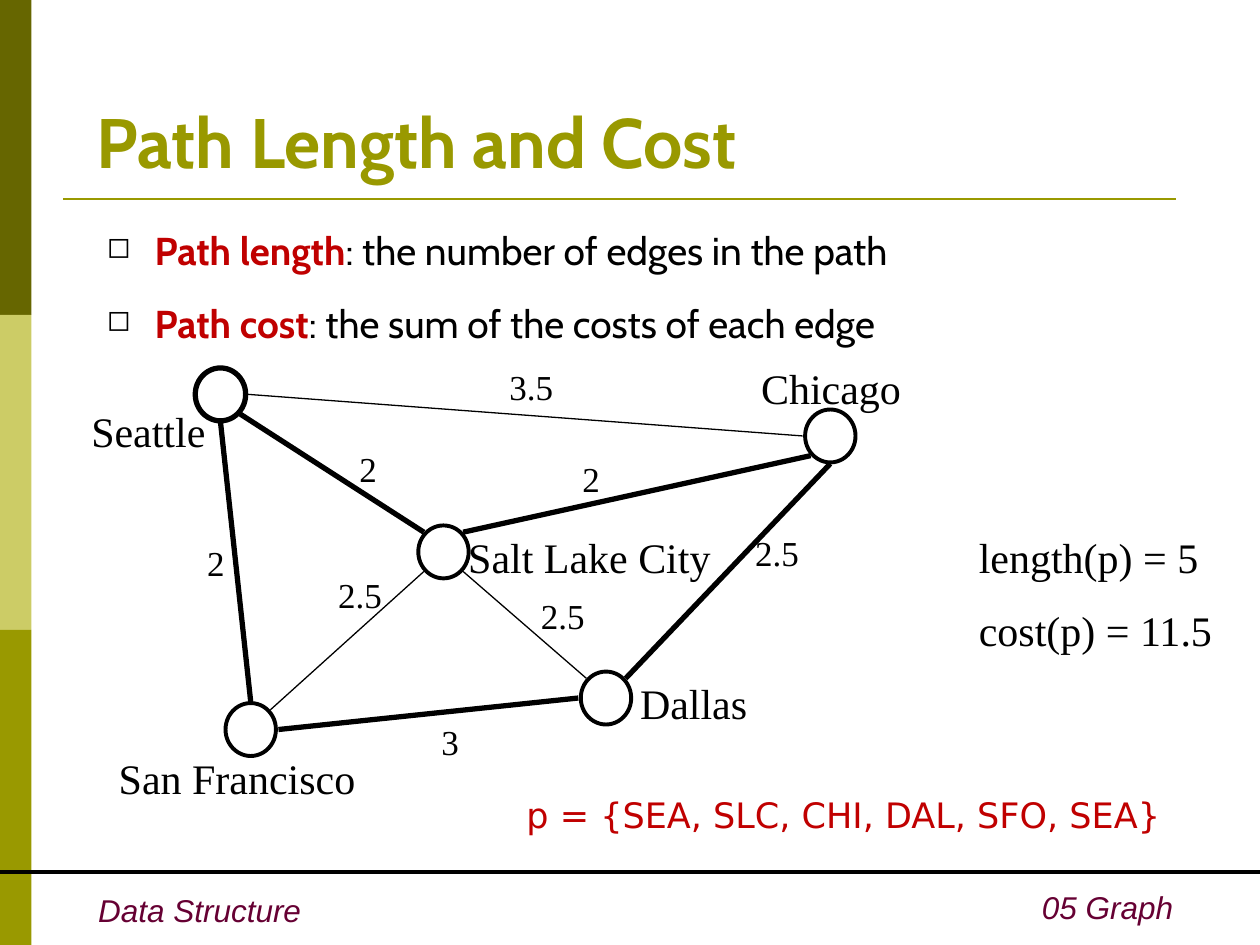
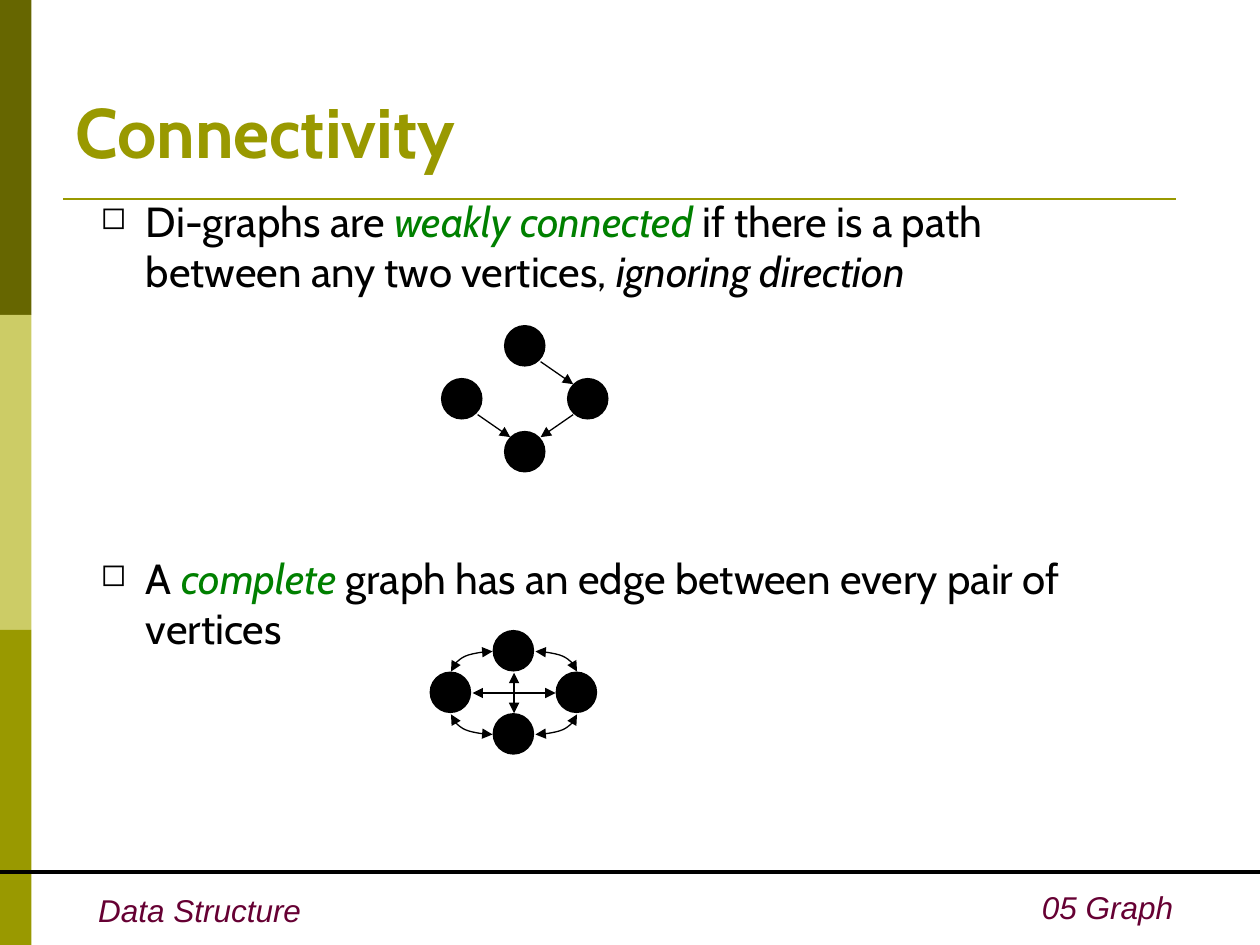
from dataclasses import dataclass, field
from itertools import product
from typing import Any, NamedTuple

from lxml.etree import SubElement
from pptx import Presentation
from pptx.dml.color import RGBColor
from pptx.enum.shapes import MSO_CONNECTOR as CXN, MSO_SHAPE as SHP
from pptx.enum.text import MSO_ANCHOR as ANC, MSO_AUTO_SIZE as FIT, PP_ALIGN as AL
from pptx.oxml.ns import qn
from pptx.util import Inches, Pt

OLIVE, DARK_OLIVE, LIGHT_OLIVE = "999900", "666600", "CCCC66"
BLACK, WHITE, RED, GREEN, PLUM = "000000", "FFFFFF", "C00000", "008000", "660033"
HEADING, SERIF, FOOTER, SYMBOLS = "Cabin", "Times New Roman", "Arial", "DejaVu Sans"
THIN, MEDIUM, THICK = 0.74, 2.24, 3
CORNER = 0.71
LABEL_SLACK = 0.05
SITES = {
    "top": (0, -1), "bottom": (0, 1), "left": (-1, 0), "right": (1, 0),
    "top left": (-CORNER, -CORNER), "top right": (CORNER, -CORNER),
    "bottom left": (-CORNER, CORNER), "bottom right": (CORNER, CORNER),
}


class Point(NamedTuple):
    """A position in inches."""
    x: float
    y: float

    def shift(self, dx: float, dy: float) -> "Point":
        """Return the point moved by the given distances."""
        return Point(self.x + dx, self.y + dy)

    def site(self, name: str, radius: float) -> "Point":
        """Return a named point on a circle around this one."""
        dx, dy = SITES[name]
        return self.shift(dx * radius, dy * radius)


class Run(NamedTuple):
    """A piece of text with font values of its own."""
    text: str
    style: dict[str, Any] = {}


@dataclass
class Para:
    """A paragraph with its spacing, hanging indent and bullet."""
    runs: list[Run]
    before: float = 0
    margin: float = 0
    hang: float = 0
    bullet: bool = False


@dataclass
class TextBox:
    """A text box with one base font for its paragraphs."""
    left: float
    top: float
    width: float
    height: float
    paras: list[Para]
    size: float
    font: str
    color: str = BLACK
    style: dict[str, Any] = field(default_factory=dict)
    align: AL = AL.LEFT
    anchor: ANC = ANC.TOP
    wrap: bool = True
    grow: bool = False


class City(NamedTuple):
    """A vertex of the route graph and its label box."""
    name: str
    center: Point
    label: Point
    width: float
    border: float = MEDIUM


class Edge(NamedTuple):
    """An edge between two cities, with its cost and label place."""
    start: str
    start_site: str
    end: str
    end_site: str
    weight: float
    cost: str
    label: Point


def rgb(color: str) -> RGBColor:
    """Turn a hex string into a colour."""
    return RGBColor.from_string(color)


def plain(text: str) -> list[Para]:
    """Wrap one string as a single paragraph."""
    return [Para([Run(text)])]


def add_shape(shapes, kind: SHP, left: float, top: float, width: float, height: float,
              fill: str, border: float = 0) -> None:
    """Draw a filled preset shape, with a black border if a width is given."""
    sp = shapes.add_shape(kind, Inches(left), Inches(top), Inches(width), Inches(height))
    sp.shadow.inherit = False
    sp.fill.solid()
    sp.fill.fore_color.rgb = rgb(fill)
    if border:
        sp.line.color.rgb = rgb(BLACK)
        sp.line.width = Pt(border)
    else:
        sp.line.fill.background()


def add_line(shapes, start: Point, end: Point, weight: float = THIN, color: str = BLACK,
             arrows: tuple[str, ...] = (), curved: bool = False) -> None:
    """Draw a connector with arrowheads at the named ends."""
    kind = CXN.CURVE if curved else CXN.STRAIGHT
    cx = shapes.add_connector(kind, *(Inches(v) for v in (*start, *end)))
    cx.line.color.rgb = rgb(color)
    cx.line.width = Pt(weight)
    props = cx._element.spPr
    if curved:
        props.find(qn("a:prstGeom")).set("prst", "curvedConnector2")
    for arrow in arrows:
        SubElement(cx.line._get_or_add_ln(), qn(f"a:{arrow}")).set("type", "triangle")
    SubElement(props, qn("a:effectLst"))


def add_bullet(p) -> None:
    """Give a paragraph a hollow square bullet."""
    props = p._p.get_or_add_pPr()
    SubElement(SubElement(props, qn("a:buClr")), qn("a:srgbClr")).set("val", BLACK)
    SubElement(props, qn("a:buSzPct")).set("val", "75000")
    SubElement(props, qn("a:buChar")).set("char", "\u25fb")


def add_text(shapes, box: TextBox) -> None:
    """Draw a text box."""
    sp = shapes.add_textbox(Inches(box.left), Inches(box.top),
                            Inches(box.width), Inches(box.height))
    tf = sp.text_frame
    tf.word_wrap = box.wrap
    tf.auto_size = FIT.SHAPE_TO_FIT_TEXT if box.grow else FIT.NONE
    tf.vertical_anchor = box.anchor
    for i, para in enumerate(box.paras):
        p = tf.add_paragraph() if i else tf.paragraphs[0]
        p.alignment = box.align
        p.space_before = Pt(para.before)
        props = p._p.get_or_add_pPr()
        props.set("marL", str(Inches(para.margin)))
        props.set("indent", str(-Inches(para.hang)))
        if para.bullet:
            add_bullet(p)
        for run in para.runs:
            r = p.add_run()
            r.text = run.text
            values = {"name": box.font, "size": Pt(box.size), "color": box.color,
                      **box.style, **run.style}
            r.font.color.rgb = rgb(values.pop("color"))
            for key, value in values.items():
                setattr(r.font, key, value)


def add_label(shapes, text: str, at: Point, width: float, size: float,
              align: AL = AL.RIGHT) -> None:
    """Draw a one-line serif label, with slack on its loose side so it cannot wrap."""
    left = at.x - LABEL_SLACK if align == AL.RIGHT else at.x
    add_text(shapes, TextBox(left, at.y, width + LABEL_SLACK, 0.5 if size > 20 else 0.44,
                             plain(text), size, SERIF, align=align, wrap=False))


def add_title(shapes, text: str, left: float, top: float, width: float, height: float) -> None:
    """Draw the slide title."""
    add_text(shapes, TextBox(left, top, width, height, plain(text), 40, HEADING, OLIVE,
                             {"bold": True}, anchor=ANC.BOTTOM))


def new_slide(prs):
    """Add a slide with the side bands, rules and footers, and return its shapes."""
    shapes = prs.slides.add_slide(prs.slide_layouts[6]).shapes
    for i, color in enumerate((DARK_OLIVE, LIGHT_OLIVE, OLIVE)):
        add_shape(shapes, SHP.RECTANGLE, 0, 2.5 * i, 0.25, 2.5, color)
    add_line(shapes, Point(0.5, 1.58), Point(9.33, 1.58), 1.5, OLIVE)
    italic = {"italic": True}
    add_text(shapes, TextBox(0.68, 7.02, 1.81, 0.4, plain("Data Structure"), 18, FOOTER,
                             PLUM, italic, wrap=False, grow=True))
    add_text(shapes, TextBox(5.24, 7, 4.17, 0.4, plain("05 Graph"), 18, FOOTER,
                             PLUM, italic, AL.RIGHT, grow=True))
    add_line(shapes, Point(0, 6.92), Point(10, 6.92), MEDIUM)
    return shapes


CITIES = [
    City("San Francisco", Point(1.99, 5.79), Point(0.84, 5.92), 2.08),
    City("Seattle", Point(1.75, 3.13), Point(0.63, 3.17), 1.1, THICK),
    City("Salt Lake City", Point(3.52, 4.38), Point(3.62, 4.17), 2.12),
    City("Dallas", Point(4.81, 5.54), Point(4.98, 5.33), 1.05),
    City("Chicago", Point(6.59, 3.46), Point(5.94, 2.83), 1.31),
]
EDGES = [
    Edge("San Francisco", "top", "Seattle", "bottom", THICK, "2", Point(1.54, 4.25)),
    Edge("Chicago", "bottom", "Dallas", "top right", THICK, "2.5", Point(5.89, 4.17)),
    Edge("Chicago", "left", "Seattle", "right", THIN, "3.5", Point(3.94, 2.85)),
    Edge("Seattle", "bottom right", "Salt Lake City", "top left", THICK, "2", Point(2.75, 3.5)),
    Edge("San Francisco", "top right", "Salt Lake City", "bottom left", THIN, "2.5",
         Point(2.58, 4.5)),
    Edge("Salt Lake City", "bottom right", "Dallas", "top left", THIN, "2.5",
         Point(4.19, 4.67)),
    Edge("Salt Lake City", "top right", "Chicago", "bottom left", THICK, "2",
         Point(4.52, 3.58)),
    Edge("Dallas", "left", "San Francisco", "right", THICK, "3", Point(3.4, 5.67)),
]


def add_route_graph(shapes) -> None:
    """Draw the weighted graph of cities."""
    centers = {city.name: city.center for city in CITIES}
    for city in CITIES:
        add_shape(shapes, SHP.OVAL, *city.center.shift(-0.2, -0.21), 0.4, 0.42, WHITE,
                  city.border)
    for edge in EDGES:
        add_line(shapes, centers[edge.start].site(edge.start_site, 0.22),
                 centers[edge.end].site(edge.end_site, 0.22), edge.weight)
    for city in CITIES:
        add_label(shapes, city.name, city.label, city.width, 24)
    for edge in EDGES:
        add_label(shapes, edge.cost, edge.label, 0.55 if "." in edge.cost else 0.34, 20)


def add_diamond(shapes, center: Point, dx: float, dy: float) -> dict[str, Point]:
    """Draw four black vertices around a centre and return their centres."""
    nodes = {side: center.shift(SITES[side][0] * dx, SITES[side][1] * dy)
             for side in ("top", "bottom", "right", "left")}
    for node in nodes.values():
        add_shape(shapes, SHP.OVAL, *node.shift(-0.17, -0.17), 0.33, 0.33, BLACK)
    return nodes


def add_weak_graph(shapes) -> None:
    """Draw the weakly connected digraph."""
    nodes = add_diamond(shapes, Point(4.17, 3.17), 0.5, 0.42)
    for start, leave, end, enter in (("top", "bottom right", "right", "top left"),
                                     ("right", "bottom left", "bottom", "top right"),
                                     ("left", "bottom right", "bottom", "top left")):
        add_line(shapes, nodes[start].site(leave, 0.17), nodes[end].site(enter, 0.17),
                 arrows=("tailEnd",))


def add_complete_graph(shapes) -> None:
    """Draw the complete graph."""
    center, both = Point(4.08, 5.5), ("headEnd", "tailEnd")
    nodes = add_diamond(shapes, center, 0.5, 0.33)
    for start, end in (("top", "bottom"), ("left", "right")):
        add_line(shapes, nodes[start].site(end, 0.17), nodes[end].site(start, 0.17),
                 arrows=both)
    for sx, sy in product((-1, 1), repeat=2):
        add_line(shapes, center.shift(0.17 * sx, 0.33 * sy),
                 center.shift(0.5 * sx, 0.17 * sy), arrows=both, curved=True)


def build_path_slide(prs) -> None:
    """Build the slide on path length and cost."""
    shapes = new_slide(prs)
    add_title(shapes, "Path Length and Cost", 0.67, 0.25, 8.5, 1.25)
    term = {"color": RED, "bold": True}
    terms = [("Path length", ": the number of edges in the path"),
             ("Path cost", ": the sum of the costs of each edge")]
    paras = [Para([Run(name, term), Run(rest)], 15, 0.38, 0.38, True) for name, rest in terms]
    add_text(shapes, TextBox(0.75, 1.75, 8.33, 1, paras, 22.2, HEADING))
    add_route_graph(shapes.add_group_shape().shapes)
    add_label(shapes, "length(p) = 5", Point(7.67, 4.17), 1.94, 24, AL.LEFT)
    add_label(shapes, "cost(p) = 11.5", Point(7.67, 4.75), 2.06, 24, AL.LEFT)
    path = Para([Run("p = {SEA, SLC, CHI, DAL, SFO, SEA}")], 5, 0.38, 0.38)
    add_text(shapes, TextBox(4.08, 6.25, 5.58, 0.58, [path], 20, SYMBOLS, RED))


def build_connectivity_slide(prs) -> None:
    """Build the slide on connectivity."""
    shapes = new_slide(prs)
    term = {"color": GREEN, "italic": True}
    weak = [Run("Di-graphs are "), Run("weakly connected", term),
            Run(" if there is a path between any two vertices, "),
            Run("ignoring direction", {"italic": True})]
    complete = [Run("A "), Run("complete", term),
                Run(" graph has an edge between every pair of vertices")]
    paras = [Para(weak, 15, 0.48, 0.36, True), Para(complete, 146.5, 0.48, 0.36, True)]
    add_text(shapes, TextBox(0.58, 1.5, 8.5, 6, paras, 24, HEADING))
    add_title(shapes, "Connectivity", 0.5, 0.67, 3.92, 0.75)
    add_weak_graph(shapes.add_group_shape().shapes)
    add_complete_graph(shapes.add_group_shape().shapes)


def main() -> None:
    """Build and save the presentation."""
    prs = Presentation()
    prs.slide_width, prs.slide_height = Inches(10), Inches(7.5)
    build_path_slide(prs)
    build_connectivity_slide(prs)
    prs.save("out.pptx")


main()
